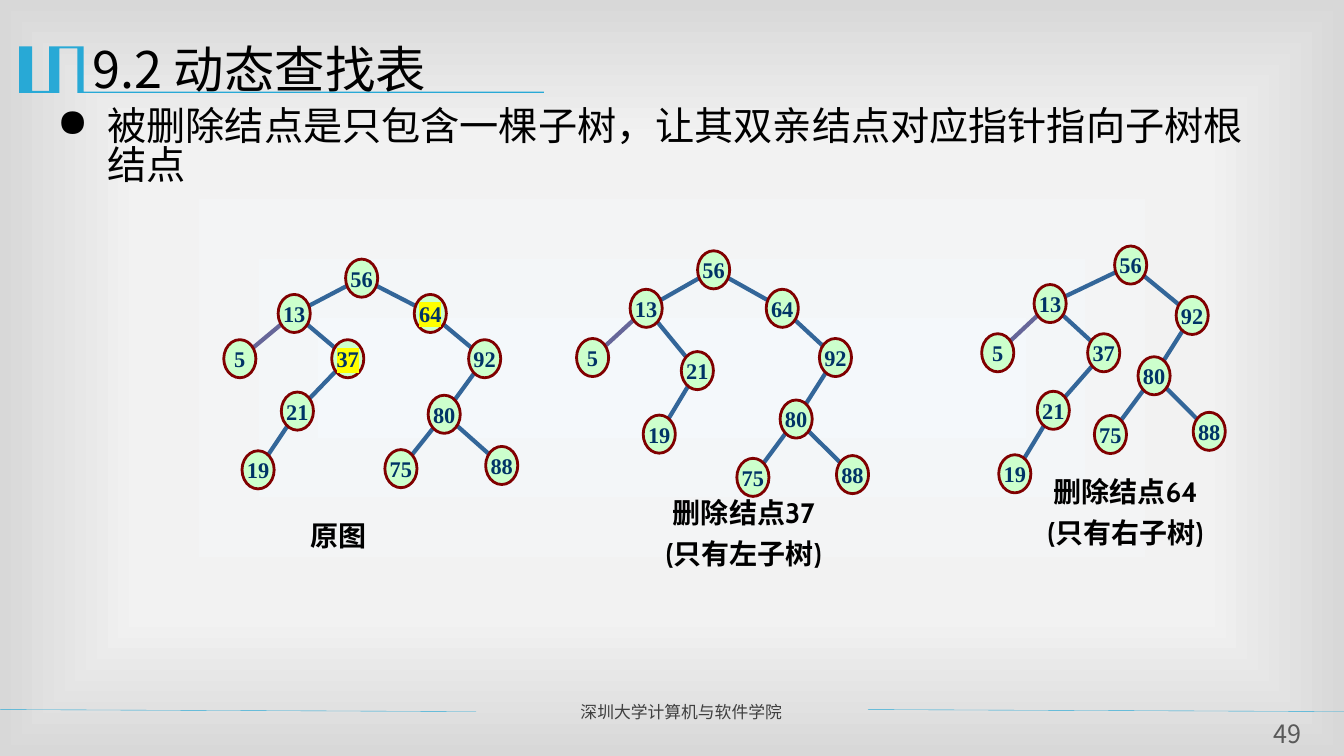
import math
import pptx
import pptx.util
import pptx.dml.color
import pptx.enum.shapes
import pptx.enum.text
import pptx.oxml
import pptx.oxml.ns
from lxml import etree

Cm = pptx.util.Cm
Pt = pptx.util.Pt
ALIGN = pptx.enum.text.PP_ALIGN
ANCHOR = pptx.enum.text.MSO_ANCHOR
qn = pptx.oxml.ns.qn

SANS = "Noto Sans CJK SC"
BLUE = "28A9D6"
WIDE, HIGH = 0.81, 0.96

FIRST = {
    "56": (3.25, 0, None), "13": (1.55, 0.89, "56"), "64": (4.98, 0.89, "56"),
    "5": (0.18, 2.03, "13"), "37": (2.9, 2.03, "13"), "92": (6.35, 2.03, "64"),
    "21": (1.63, 3.35, "37"), "80": (5.33, 3.43, "92"), "19": (0.64, 4.83, "21"),
    "75": (4.24, 4.8, "80"), "88": (6.78, 4.72, "80"),
}
LEFT = {
    "56": (3.05, 0, None), "13": (1.35, 0.97, "56"), "64": (4.78, 0.97, "56"),
    "5": (0, 2.21, "13"), "92": (6.12, 2.21, "64"), "21": (2.64, 2.54, "13"),
    "80": (5.13, 3.76, "92"), "19": (1.68, 4.14, "21"),
    "75": (4.04, 5.23, "80"), "88": (6.55, 5.16, "80"),
}
RIGHT = {
    "56": (3.35, 0, None), "13": (1.32, 0.97, "56"), "92": (4.9, 1.27, "56"),
    "5": (0, 2.21, "13"), "37": (2.67, 2.21, "13"), "80": (3.94, 2.79, "92"),
    "21": (1.4, 3.66, "37"), "75": (2.84, 4.27, "80"),
    "88": (5.33, 4.19, "80"), "19": (0.43, 5.26, "21"),
}


def color(code):
    return pptx.dml.color.RGBColor.from_string(code)


def style(para, size, code, face=SANS, bold=False):
    for run in para.runs:
        run.font.size = Pt(size)
        run.font.name = face
        run.font.bold = bold
        run.font.color.rgb = color(code)
        east = etree.SubElement(run.font._element, qn("a:ea"))
        east.set("typeface", SANS)


def label(slide, box, text, size, code, align, face=SANS, bold=False):
    shape = slide.shapes.add_textbox(*map(Cm, box))
    frame = shape.text_frame
    frame.word_wrap = True
    frame.text = text
    for para in frame.paragraphs:
        para.alignment = align
        style(para, size, code, face, bold)
    return frame


def line(slide, start, end, code, width):
    link = slide.shapes.add_connector(
        pptx.enum.shapes.MSO_CONNECTOR.STRAIGHT, *map(Cm, (*start, *end)))
    link.line.color.rgb = color(code)
    link.line.width = Pt(width)
    etree.SubElement(link._element.spPr, qn("a:effectLst"))


def backdrop(slide):
    fill = slide.background.fill
    fill.gradient()
    grad = slide.element.find(".//" + qn("a:gradFill"))
    for child in list(grad):
        grad.remove(child)
    stops = etree.SubElement(grad, qn("a:gsLst"))
    for spot, code in ((0, "F4F8FB"), (63, "F2F2F2"), (100, "D8D8D8")):
        stop = etree.SubElement(stops, qn("a:gs"), pos=str(spot * 1000))
        etree.SubElement(stop, qn("a:srgbClr"), val=code)
    shade = etree.SubElement(grad, qn("a:path"), path="rect")
    etree.SubElement(shade, qn("a:fillToRect"), l="50000", t="50000", r="50000", b="50000")


def header(slide, left, top, text):
    points = [(1.6, 0), (1.63, 0), (1.63, 1.14), (13.23, 1.14), (13.23, 1.17),
              (1.47, 1.17), (1.47, 0.05), (1.02, 0.05), (1.02, 1.17), (0, 1.17),
              (0, 0), (0.33, 0), (0.33, 1.12), (0.76, 1.12), (0.76, 0)]
    spots = [(Cm(left + x), Cm(top + y)) for x, y in points]
    build = slide.shapes.build_freeform(*spots[0])
    build.add_line_segments(spots[1:])
    band = build.convert_to_shape()
    band.shadow.inherit = False
    band.fill.solid()
    band.fill.fore_color.rgb = color(BLUE)
    band.line.fill.background()
    title = slide.shapes.title
    title.left, title.top = Cm(left + 1.6), Cm(top - 0.56)
    title.width, title.height = Cm(30.48), Cm(2.21)
    frame = title.text_frame
    frame.text = text
    frame.vertical_anchor = ANCHOR.MIDDLE
    frame.paragraphs[0].alignment = ALIGN.LEFT
    style(frame.paragraphs[0], 36, "000000")


def body(slide, box, text):
    frame = label(slide, box, text, 28, "000000", ALIGN.LEFT)
    para = frame.paragraphs[0]
    para.line_spacing = 0.82
    props = para._p.get_or_add_pPr()
    props.set("marL", str(Cm(1.27)))
    props.set("indent", str(-Cm(1.27)))
    etree.SubElement(props, qn("a:buChar"), char="●")


def node(slide, left, top, text, mark):
    oval = slide.shapes.add_shape(
        pptx.enum.shapes.MSO_SHAPE.OVAL, *map(Cm, (left, top, WIDE, HIGH)))
    oval.shadow.inherit = False
    oval.fill.solid()
    oval.fill.fore_color.rgb = color("CCFFCC")
    oval.line.color.rgb = color("800000")
    oval.line.width = Pt(2)
    frame = oval.text_frame
    frame.word_wrap = False
    frame.vertical_anchor = ANCHOR.MIDDLE
    frame.text = text
    para = frame.paragraphs[0]
    para.alignment = ALIGN.CENTER
    style(para, 16, "003366", "Times New Roman", True)
    if mark:
        glow = etree.Element(qn("a:highlight"))
        etree.SubElement(glow, qn("a:srgbClr"), val="FFFF00")
        para.runs[0].font._element.find(qn("a:latin")).addprevious(glow)


def edge(slide, start, end, code):
    dx, dy = end[0] - start[0], end[1] - start[1]
    cut = 1 / math.hypot(2 * dx / WIDE, 2 * dy / HIGH)
    line(slide, (start[0] + cut * dx, start[1] + cut * dy),
         (end[0] - cut * dx, end[1] - cut * dy), code, 3)


def tree(slide, left, top, nodes, box, text, marks=()):
    mids = {key: (left + x + WIDE / 2, top + y + HIGH / 2)
            for key, (x, y, root) in nodes.items()}
    for key, (x, y, root) in nodes.items():
        if root:
            edge(slide, mids[root], mids[key], "666699" if key == "5" else "336699")
    for key, (x, y, root) in nodes.items():
        node(slide, left + x, top + y, key, key in marks)
    x, y, width, height = box
    frame = label(slide, (left + x, top + y, width, height), text, 20, "000000",
                  ALIGN.CENTER, "Cabin", True)
    for para in frame.paragraphs[1:]:
        para.space_before = Pt(10)
    if len(frame.paragraphs) > 1:
        for para in frame.paragraphs:
            para.line_spacing = 0.8


def footer(slide, top, text, page):
    for left in (0, 21.87):
        line(slide, (left, top), (left + 12, top + 0.05), BLUE, 0.25)
    label(slide, (14.38, top - 0.33, 7.24, 0.76), text, 12, "3F3F3F", ALIGN.JUSTIFY)
    frame = label(slide, (31.7, top + 0.23, 1.5, 0.79), page, 18, "595959", ALIGN.CENTER)
    frame.margin_left = frame.margin_right = frame.margin_top = frame.margin_bottom = 0


def main():
    deck = pptx.Presentation()
    deck.slide_width, deck.slide_height = Cm(33.87), Cm(19.05)
    slide = deck.slides.add_slide(deck.slide_layouts[5])
    backdrop(slide)
    header(slide, 0.48, 1.17, "9.2 动态查找表")
    body(slide, (1.19, 2.64, 30.81, 11.13),
         "被删除结点是只包含一棵子树，让其双亲结点对应指针指向子树根结点")
    tree(slide, 5.46, 6.53, FIRST, (0, 6.4, 6.15, 1.12), "原图", ("64", "37"))
    tree(slide, 14.53, 6.32, LEFT, (0.99, 6.2, 6.45, 2.06), "删除结点37\n(只有左子树)")
    tree(slide, 24.74, 6.2, RIGHT, (0.64, 5.79, 5.97, 2.06), "删除结点64\n(只有右子树)")
    footer(slide, 17.88, "深圳大学计算机与软件学院", "49")
    deck.save("out.pptx")


if __name__ == "__main__":
    main()
